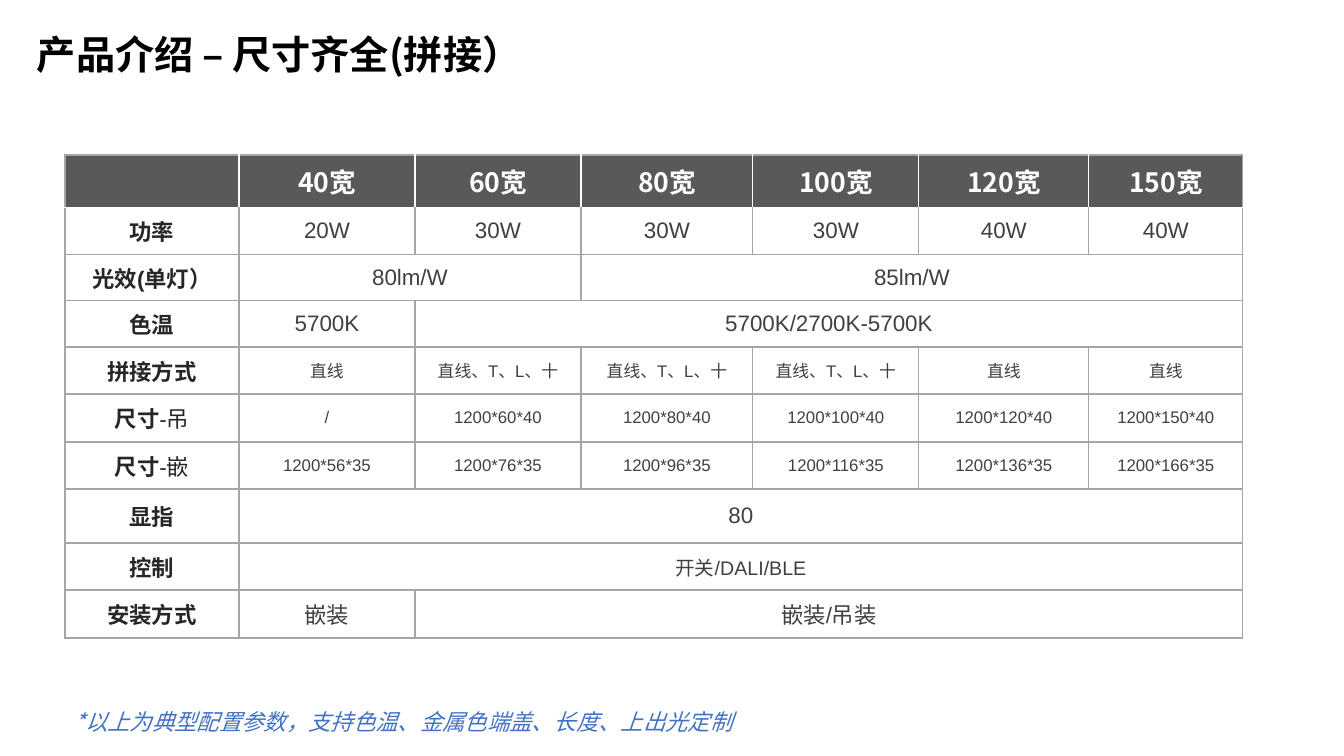
from lxml.etree import SubElement
from pptx import Presentation
from pptx.dml.color import RGBColor
from pptx.enum.text import MSO_ANCHOR, PP_ALIGN
from pptx.oxml.ns import qn
from pptx.util import Pt

PX = 9071
COLORS = {
    "header": "595959", "white": "FFFFFF", "grid": "A6A6A6", "label": "262626",
    "value": "404040", "title": "000000", "note": "4472C4",
}
CJK = "Noto Sans CJK SC"
COLUMNS = [174, 176, 166, 172, 166, 170, 154]
WIDTHS = ["40宽", "60宽", "80宽", "100宽", "120宽", "150宽"]
JOINTS = "直线、T、L、十"
ROWS = [
    (47, "功率", "", 16, [("20W", 1), ("30W", 1), ("30W", 1), ("30W", 1), ("40W", 1), ("40W", 1)]),
    (46, "光效(单灯）", "", 16, [("80lm/W", 2), ("85lm/W", 4)]),
    (46, "色温", "", 16, [("5700K", 1), ("5700K/2700K-5700K", 5)]),
    (47, "拼接方式", "", 12, [("直线", 1), (JOINTS, 1), (JOINTS, 1), (JOINTS, 1), ("直线", 1), ("直线", 1)]),
    (48, "尺寸", "-吊", 12, [("/", 1)] + [(f"1200*{w}*40", 1) for w in (60, 80, 100, 120, 150)]),
    (47, "尺寸", "-嵌", 12, [(f"1200*{w}*35", 1) for w in (56, 76, 96, 116, 136, 166)]),
    (54, "显指", "", 16, [("80", 6)]),
    (47, "控制", "", 14, [("开关/DALI/BLE", 6)]),
    (48, "安装方式", "", 16, [("嵌装", 1), ("嵌装/吊装", 5)]),
]


def px(n):
    return n * PX


def add_run(p, text, size, color, font=CJK, bold=False, italic=False):
    r = p.add_run()
    r.text = text
    r.font.size = Pt(size)
    r.font.name = font
    r.font.bold = bold
    r.font.italic = italic
    r.font.color.rgb = RGBColor.from_string(COLORS[color])
    SubElement(r.font._element, qn("a:ea"), typeface=CJK)


def add_text(s, box, text, size, color, spacing=1.0, **style):
    tf = s.shapes.add_textbox(*map(px, box)).text_frame
    tf.word_wrap = True
    p = tf.paragraphs[0]
    p.line_spacing = spacing
    add_run(p, text, size, color, **style)


def set_borders(cell, **sides):
    tcPr = cell._tc.get_or_add_tcPr()
    for side in "LRTB":
        ln = SubElement(tcPr, qn(f"a:ln{side}"), w=str(Pt(1)))
        fill = SubElement(ln, qn("a:solidFill"))
        SubElement(fill, qn("a:srgbClr"), val=COLORS[sides.get(side, "grid")])


def style_cell(cell, row, col):
    if row == 0:
        set_borders(cell, B="white", L="white" if col else "grid",
                    R="white" if col < len(COLUMNS) - 1 else "grid")
        cell.fill.solid()
        cell.fill.fore_color.rgb = RGBColor.from_string(COLORS["header"])
    else:
        set_borders(cell, T="white" if row == 1 else "grid")
        cell.fill.background()
    cell.vertical_anchor = MSO_ANCHOR.MIDDLE
    cell.margin_left = cell.margin_right = px(13)
    cell.margin_top = cell.margin_bottom = px(7)
    cell.text_frame.paragraphs[0].alignment = PP_ALIGN.CENTER


def add_cell_run(cell, text, size, color, **style):
    add_run(cell.text_frame.paragraphs[0], text, size, color, **style)


def add_spec_table(s, left, top):
    heights = [52] + [row[0] for row in ROWS]
    frame = s.shapes.add_table(len(heights), len(COLUMNS), px(left), px(top),
                               px(sum(COLUMNS)), px(sum(heights)))
    table = frame.table
    table.first_row = table.horz_banding = False
    for column, width in zip(table.columns, COLUMNS):
        column.width = px(width)
    for i, height in enumerate(heights):
        table.rows[i].height = px(height)
        for j in range(len(COLUMNS)):
            style_cell(table.cell(i, j), i, j)

    for j, text in enumerate(WIDTHS, 1):
        add_cell_run(table.cell(0, j), text, 19, "white", bold=True)
    for i, (_, label, suffix, size, values) in enumerate(ROWS, 1):
        add_cell_run(table.cell(i, 0), label, 16, "label", font="Arial", bold=True)
        if suffix:
            add_cell_run(table.cell(i, 0), suffix, 16, "label", font="Arial")
        j = 1
        for text, span in values:
            cell = table.cell(i, j)
            if span > 1:
                cell.merge(table.cell(i, j + span - 1))
            add_cell_run(cell, text, size, "value", font="Arial")
            j += span


def main():
    prs = Presentation()
    prs.slide_width, prs.slide_height = px(1344), px(756)
    s = prs.slides.add_slide(prs.slide_layouts[6])
    add_spec_table(s, 65, 155)
    add_text(s, (27, 33, 516, 57), "产品介绍 – 尺寸齐全(拼接）", 28, "title",
             spacing=0.83, bold=True)
    add_text(s, (65, 703, 698, 37), "*以上为典型配置参数，支持色温、金属色端盖、长度、上出光定制",
             16, "note", italic=True)
    prs.save("out.pptx")


if __name__ == "__main__":
    main()
